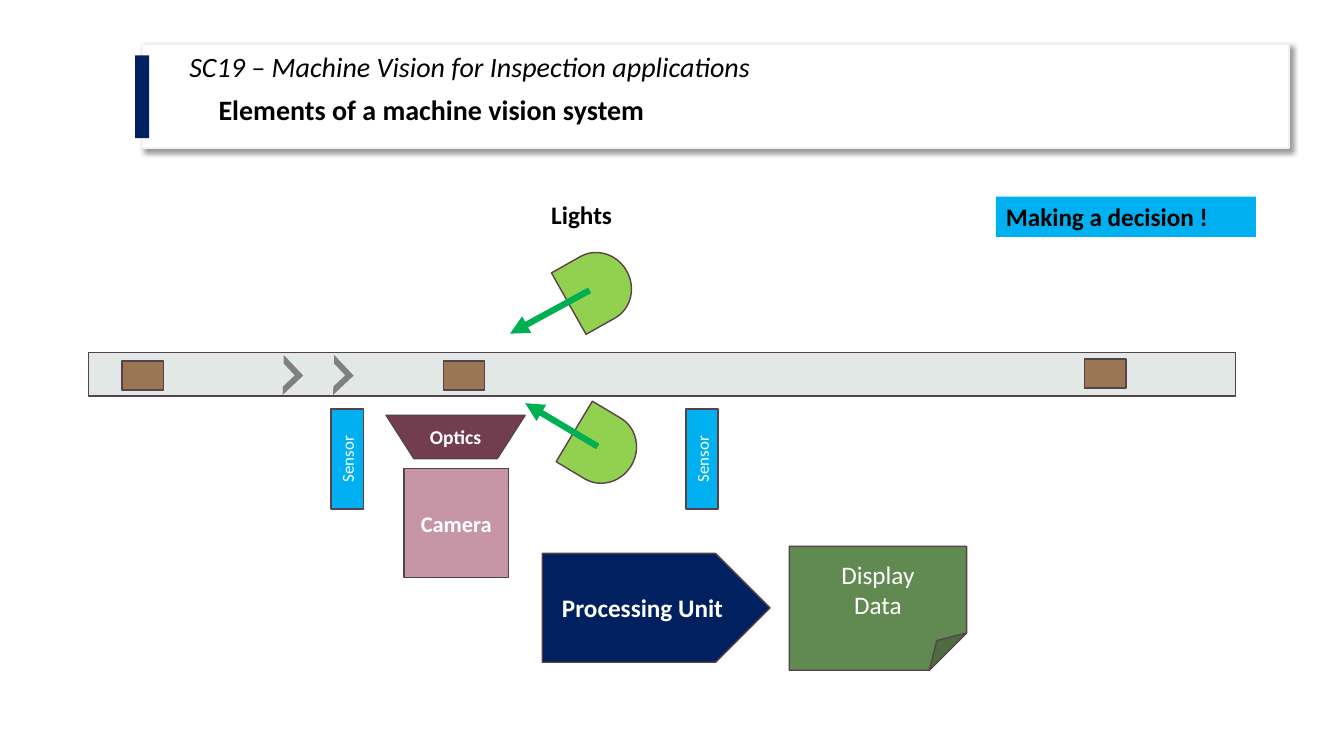
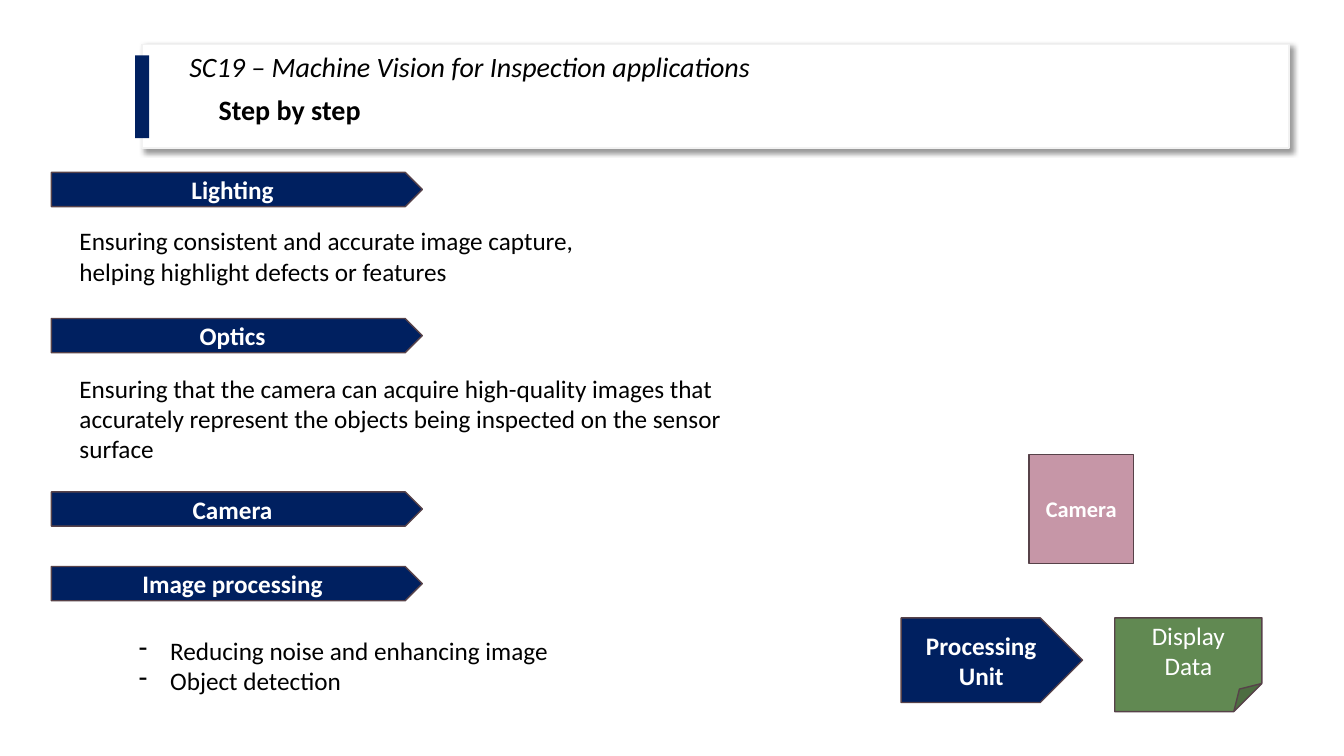
from lxml.etree import SubElement
from pptx import Presentation
from pptx.dml.color import RGBColor
from pptx.enum.shapes import MSO_CONNECTOR as Connector, MSO_SHAPE as Shape
from pptx.enum.text import MSO_ANCHOR as Anchor, PP_ALIGN as Align
from pptx.oxml.ns import qn
from pptx.util import Emu, Inches, Pt

SLIDE_WIDTH, SLIDE_HEIGHT = Inches(40 / 3), Inches(7.5)
COLUMNS, ROWS = 40, 22.5
FONT = "Calibri"
COURSE = "SC19 – Machine Vision for Inspection applications"
BLACK, WHITE, NAVY, SKY = "000000", "FFFFFF", "002060", "00B0F0"
OUTLINE, PANEL_EDGE, CONVEYOR, PRODUCT = "574249", "F2F2F2", "E2E8E6", "9B7654"
PINK, PLUM, LIME, GREEN = "C696A7", "713D4F", "92D050", "00B050"
GREY, LEAF = "808080", "618952"


def color(value):
    return RGBColor.from_string(value)


def column(count):
    return Emu(round(SLIDE_WIDTH * count / COLUMNS))


def row(count):
    return Emu(round(SLIDE_HEIGHT * count / ROWS))


def grid(left, top, width, height):
    return column(left), row(top), column(width), row(height)


def write(shape, text, size=18, ink=BLACK, bold=False, italic=False,
          align=Align.LEFT, anchor=Anchor.TOP):
    frame = shape.text_frame
    frame.word_wrap = True
    frame.vertical_anchor = anchor
    frame.text = text
    for paragraph in frame.paragraphs:
        paragraph.alignment = align
        for run in paragraph.runs:
            font = run.font
            font.name, font.size = FONT, Pt(size)
            font.bold, font.italic = bold, italic
            font.color.rgb = color(ink)


def add_text(slide, area, text, **style):
    box = slide.shapes.add_textbox(*grid(*area))
    write(box, text, **style)
    return box


def set_guides(shape, guides):
    geometry = shape._element.spPr.find(qn("a:prstGeom"))
    values = geometry.find(qn("a:avLst"))
    for guide in list(values):
        values.remove(guide)
    for name, share in guides.items():
        SubElement(values, qn("a:gd"), name=name, fmla=f"val {round(share * 100000)}")


def add_block(slide, kind, area, fill, line=OUTLINE, rotation=0, guides=None):
    shape = slide.shapes.add_shape(kind, *grid(*area))
    shape.shadow.inherit = False
    shape.rotation = rotation
    shape.fill.solid()
    shape.fill.fore_color.rgb = color(fill)
    if line:
        shape.line.color.rgb = color(line)
        shape.line.width = Pt(1)
    else:
        shape.line.fill.background()
    if guides:
        set_guides(shape, guides)
    return shape


def add_label(slide, kind, area, fill, text, size=18, bold=True, **options):
    shape = add_block(slide, kind, area, fill, **options)
    write(shape, text, size, WHITE, bold, align=Align.CENTER, anchor=Anchor.MIDDLE)


def add_shadow(shape):
    effects = shape._element.spPr.find(qn("a:effectLst"))
    shadow = SubElement(effects, qn("a:outerShdw"), blurRad=str(Pt(4)),
                        dist=str(Pt(3)), dir="2700000", algn="tl", rotWithShape="0")
    tint = SubElement(shadow, qn("a:srgbClr"), val=BLACK)
    SubElement(tint, qn("a:alpha"), val="40000")


def add_arrow(slide, start, end):
    arrow = slide.shapes.add_connector(
        Connector.STRAIGHT, column(start[0]), row(start[1]), column(end[0]), row(end[1]))
    arrow.line.color.rgb = color(GREEN)
    arrow.line.width = Pt(4.5)
    outline = arrow._element.spPr.find(qn("a:ln"))
    SubElement(outline, qn("a:tailEnd"), type="triangle")
    SubElement(arrow._element.spPr, qn("a:effectLst"))


def add_dashes(box):
    for paragraph in box.text_frame.paragraphs:
        properties = paragraph._p.get_or_add_pPr()
        properties.set("marL", str(Inches(0.31)))
        properties.set("indent", str(-Inches(0.31)))
        SubElement(properties, qn("a:buChar"), char="-")


def add_slide(presentation, title):
    slide = presentation.slides.add_slide(presentation.slide_layouts[6])
    add_shadow(add_block(slide, Shape.RECTANGLE, (4.23, 1.32, 34.14, 3.09), WHITE, PANEL_EDGE))
    heading = add_text(slide, (5.34, 1.44, 27.45, 2.31), COURSE, size=20, italic=True)
    heading.text_frame.paragraphs[0].line_spacing = 0.9
    add_block(slide, Shape.RECTANGLE, (4.02, 1.65, 0.42, 2.46), NAVY, None)
    add_text(slide, (6.21, 2.61, 20.61, 1.32), title, size=20, bold=True)
    return slide


def add_camera(slide, left, top):
    add_label(slide, Shape.RECTANGLE, (left, top, 3.1, 3.24), PINK, "Camera", 16)


def add_processing(slide, area):
    add_label(slide, Shape.PENTAGON, area, NAVY, "Processing Unit")


def add_display(slide, area):
    add_label(slide, Shape.FOLDED_CORNER, area, LEAF, "Display\nData",
              bold=False, guides={"adj": 0.3})


def build_elements(presentation):
    slide = add_slide(presentation, "Elements of a machine vision system")
    add_block(slide, Shape.RECTANGLE, (2.64, 10.5, 34.14, 1.29), CONVEYOR)
    for left, top in ((3.63, 10.74), (13.2, 10.74), (32.28, 10.68)):
        add_block(slide, Shape.RECTANGLE, (left, top, 1.23, 0.87), PRODUCT)
    for left in (8.01, 9.51):
        add_block(slide, Shape.HALF_FRAME, (left, 10.74, 0.84, 0.84), GREY, None,
                  136.6, {"adj1": 0.21, "adj2": 0.21})
    add_camera(slide, 12.03, 13.95)
    add_label(slide, Shape.FLOWCHART_MANUAL_OPERATION, (11.49, 12.36, 4.14, 1.29),
              PLUM, "Optics", 14)
    lights = (
        (16.8, 7.5, 330.6, (17.55, 8.64), (15.18, 9.93)),
        (16.95, 12.3, 30.9, (17.79, 13.29), (15.63, 12)),
    )
    for left, top, rotation, start, end in lights:
        add_block(slide, Shape.FLOWCHART_DELAY, (left, top, 1.98, 2.1), LIME,
                  rotation=rotation)
        add_arrow(slide, start, end)
    add_text(slide, (16.11, 5.79, 3.24, 1.2), "Lights", bold=True)
    for left in (8.85, 19.41):
        add_label(slide, Shape.RECTANGLE, (left, 13.18, 2.97, 0.96), SKY, "Sensor",
                  12, False, rotation=270)
    decision = add_block(slide, Shape.RECTANGLE, (29.64, 5.85, 7.74, 1.2), SKY, None)
    write(decision, "Making a decision !", bold=True)
    add_processing(slide, (16.14, 16.47, 6.78, 3.24))
    add_display(slide, (23.49, 16.26, 5.28, 3.69))


def build_steps(presentation):
    slide = add_slide(presentation, "Step by step")
    steps = ((5.13, "Lighting"), (9.48, "Optics"), (14.64, "Camera"),
             (16.86, "Image processing"))
    for top, name in steps:
        add_label(slide, Shape.PENTAGON, (1.53, top, 11.04, 1.02), NAVY, name)
    add_text(slide, (2.07, 6.57, 16.17, 2.13),
             "Ensuring consistent and accurate image capture, "
             "helping highlight defects or features")
    add_text(slide, (2.07, 10.95, 19.98, 3.03),
             "Ensuring that the camera can acquire high-quality images that "
             "accurately represent the objects being inspected on the sensor surface")
    add_dashes(add_text(slide, (3.84, 18.75, 16.17, 2.13),
                        "Reducing noise and enhancing image\nObject detection"))
    add_camera(slide, 30.63, 13.53)
    add_processing(slide, (26.82, 18.39, 5.4, 2.52))
    add_display(slide, (33.18, 18.39, 4.38, 2.79))


def main():
    presentation = Presentation()
    presentation.slide_width, presentation.slide_height = SLIDE_WIDTH, SLIDE_HEIGHT
    build_elements(presentation)
    build_steps(presentation)
    presentation.save("out.pptx")


if __name__ == "__main__":
    main()
